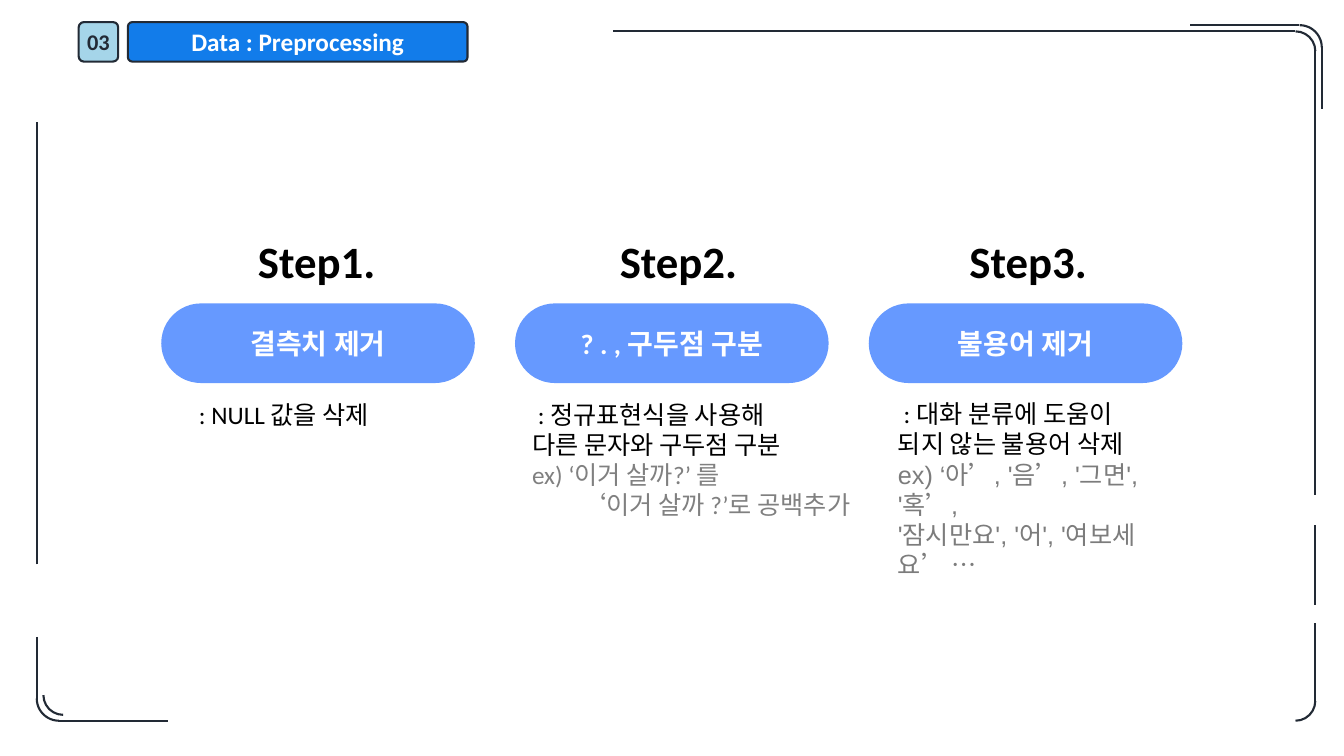
import pptx
import pptx.util
from pptx.dml.color import RGBColor
from pptx.enum.shapes import MSO_CONNECTOR, MSO_SHAPE
from pptx.enum.text import MSO_ANCHOR, MSO_AUTO_SIZE, PP_ALIGN
from pptx.oxml.ns import qn
from lxml import etree

Pt = pptx.util.Pt

INK = RGBColor(0x22, 0x2A, 0x35)
BLACK = RGBColor(0, 0, 0)
WHITE = RGBColor(0xFF, 0xFF, 0xFF)
GRAY = RGBColor(0x80, 0x80, 0x80)
DARK_GRAY = RGBColor(0x7C, 0x7C, 0x7C)
BAR_BLUE = RGBColor(0x12, 0x7C, 0xEA)
NUMBER_BLUE = RGBColor(0xA5, 0xD5, 0xE9)
PILL_BLUE = RGBColor(0x66, 0x99, 0xFF)

SECTION_NUMBER = "03"
SECTION_TITLE = "Data : Preprocessing"

STEPS = [
    {
        "label": "Step1.", "label_left": 177.1, "heading": "결측치 제거",
        "notes_box": (131, 281.5, 200, 29),
        "notes": [(" : NULL 값을 삭제", "Calibri", BLACK, 0)],
    },
    {
        "label": "Step2.", "label_left": 435.6, "heading": "? . , 구두점 구분",
        "notes_box": (373, 281.5, 247, 116.6),
        "notes": [
            (" : 정규표현식을 사용해", "Calibri", BLACK, 0),
            ("다른 문자와 구두점 구분", "Calibri", BLACK, 0),
            ("ex) ‘이거 살까?’ 를", "Calibri", GRAY, 0),
            ("‘이거 살까 ?’로 공백추가", "Calibri", GRAY, 35),
        ],
    },
    {
        "label": "Step3.", "label_left": 685.4, "heading": "불용어 제거",
        "notes_box": (634.3, 281, 200.9, 138.2),
        "notes": [
            (" : 대화 분류에 도움이 되지 않는 불용어 삭제", "Calibri", BLACK, 0),
            ("ex) ‘아’, '음’, '그면', '혹’, ", "Arial", DARK_GRAY, 0),
            ("'잠시만요', '어', '여보세요’ …", "Arial", DARK_GRAY, 0),
        ],
    },
]

LEFT, RIGHT, TOP, BOTTOM = 26.2, 939.5, 22.4, 514.8
OUTER_RIGHT, OUTER_TOP = 944.2, 18
INNER_CORNER, OUTER_CORNER = 28.2, 31.7

FRAME_LINES = [
    (925.2, TOP, 437.8, TOP),
    (RIGHT, 353.5, RIGHT, 36.7),
    (925.2 + 2.8, OUTER_TOP, 850.3, OUTER_TOP),
    (OUTER_RIGHT, 77.8, OUTER_RIGHT, 33.8),
    (RIGHT, 432, RIGHT, 375.1),
    (RIGHT, 501.8, RIGHT, 445),
    (41.8, BOTTOM, 120.2, BOTTOM),
    (LEFT, 455, LEFT, 499.7),
    (LEFT, 403.2, LEFT, 87.1),
]
FRAME_ARCS = [
    (RIGHT - INNER_CORNER, TOP, INNER_CORNER, 0),
    (OUTER_RIGHT - OUTER_CORNER, OUTER_TOP, OUTER_CORNER, 0),
    (RIGHT - INNER_CORNER, BOTTOM - INNER_CORNER, INNER_CORNER, 90),
    (31, 482.4, INNER_CORNER, 180),
    (LEFT, BOTTOM - OUTER_CORNER, OUTER_CORNER, 180),
]

HEADER_TOP, HEADER_HEIGHT = 15.8, 28.2
BAR_BOX = (91.4, HEADER_TOP, 242.6, HEADER_HEIGHT)
NUMBER_BOX = (56.2, HEADER_TOP, HEADER_HEIGHT, HEADER_HEIGHT)
PILL_LEFT, PILL_TOP, PILL_WIDTH, PILL_HEIGHT = 115.2, 216.7, 224, 56.9
PILL_PITCH = 252.7
LABEL_TOP, LABEL_WIDTH, LABEL_HEIGHT = 163.4, 99.4, 46


def format_text(paragraph, size, color, font="Calibri", bold=False):
    for run in paragraph.runs:
        run.font.name = font
        run.font.size = Pt(size)
        run.font.bold = bold
        run.font.color.rgb = color


def center_text(frame, text, size, color):
    frame.text = text
    frame.vertical_anchor = MSO_ANCHOR.MIDDLE
    frame.paragraphs[0].alignment = PP_ALIGN.CENTER
    format_text(frame.paragraphs[0], size, color, bold=True)


def add_rounded(slide, box, radius, fill, outlined):
    rounded = slide.shapes.add_shape(MSO_SHAPE.ROUNDED_RECTANGLE, *map(Pt, box))
    rounded.adjustments[0] = radius
    rounded.shadow.inherit = False
    rounded.fill.solid()
    rounded.fill.fore_color.rgb = fill
    if outlined:
        rounded.line.color.rgb = INK
        rounded.line.width = Pt(1.5)
    else:
        rounded.line.fill.background()
    return rounded


def draw_frame(slide):
    for ends in FRAME_LINES:
        edge = slide.shapes.add_connector(MSO_CONNECTOR.STRAIGHT, *map(Pt, ends))
        edge.line.color.rgb = INK
        edge.line.width = Pt(1.5)
        etree.SubElement(edge.element.spPr, qn("a:effectLst"))
    for left, top, size, turn in FRAME_ARCS:
        corner = slide.shapes.add_shape(MSO_SHAPE.ARC, Pt(left), Pt(top), Pt(size), Pt(size))
        corner.rotation = turn
        corner.shadow.inherit = False
        corner.fill.background()
        corner.line.color.rgb = INK
        corner.line.width = Pt(1.5)


def draw_header(slide):
    add_rounded(slide, BAR_BOX, 0.11, BAR_BLUE, True)
    number = add_rounded(slide, NUMBER_BOX, 0.13, NUMBER_BLUE, True)
    center_text(number.text_frame, SECTION_NUMBER, 16, INK)
    number.text_frame.word_wrap = False

    title = slide.shapes.title
    title.left, title.top, title.width, title.height = map(Pt, BAR_BOX)
    center_text(title.text_frame, SECTION_TITLE, 18, WHITE)
    title.text_frame.auto_size = MSO_AUTO_SIZE.NONE
    title.element.getparent().append(title.element)


def draw_step(slide, index, step):
    pill_box = (PILL_LEFT + index * PILL_PITCH, PILL_TOP, PILL_WIDTH, PILL_HEIGHT)
    pill = add_rounded(slide, pill_box, 0.5, PILL_BLUE, False)
    center_text(pill.text_frame, step["heading"], 20, WHITE)

    label_box = (step["label_left"], LABEL_TOP, LABEL_WIDTH, LABEL_HEIGHT)
    label = slide.shapes.add_textbox(*map(Pt, label_box)).text_frame
    label.word_wrap = False
    label.text = step["label"]
    format_text(label.paragraphs[0], 32, BLACK, bold=True)

    notes = slide.shapes.add_textbox(*map(Pt, step["notes_box"])).text_frame
    notes.word_wrap = True
    notes.text = "\n".join(note[0] for note in step["notes"])
    for paragraph, (_, font, color, indent) in zip(notes.paragraphs, step["notes"]):
        format_text(paragraph, 18, color, font)
        if indent:
            paragraph._p.get_or_add_pPr().set("marL", str(Pt(indent)))


def main():
    deck = pptx.Presentation()
    deck.slide_width, deck.slide_height = Pt(960), Pt(540)
    slide = deck.slides.add_slide(deck.slide_layouts[5])
    draw_frame(slide)
    draw_header(slide)
    for index, step in enumerate(STEPS):
        draw_step(slide, index, step)
    deck.save("out.pptx")


if __name__ == "__main__":
    main()
